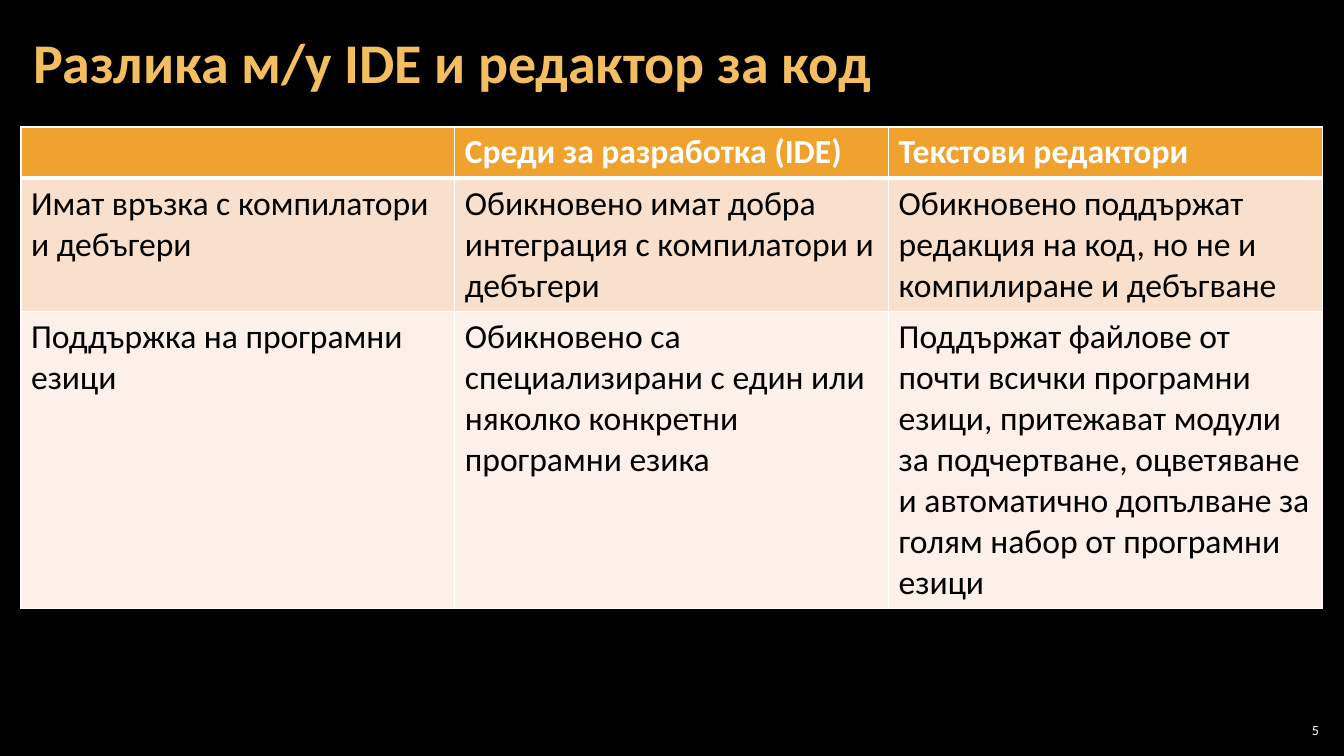
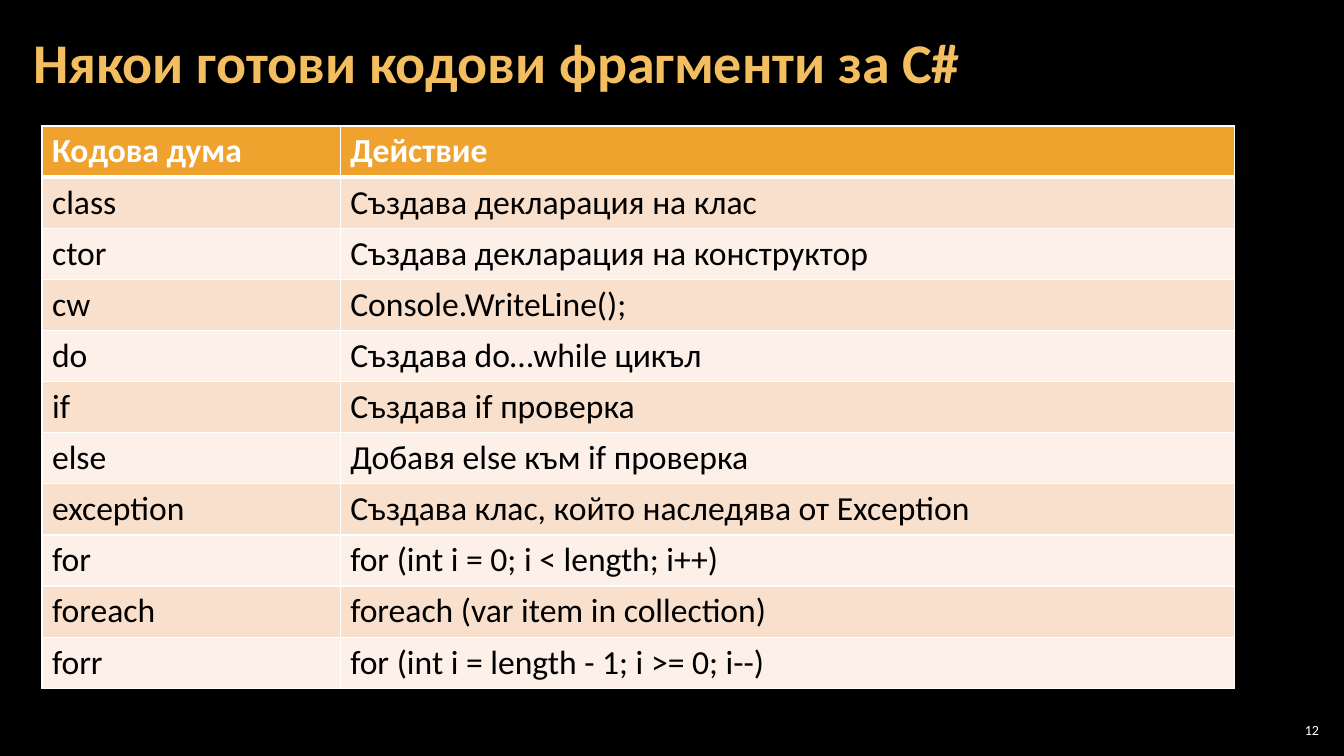
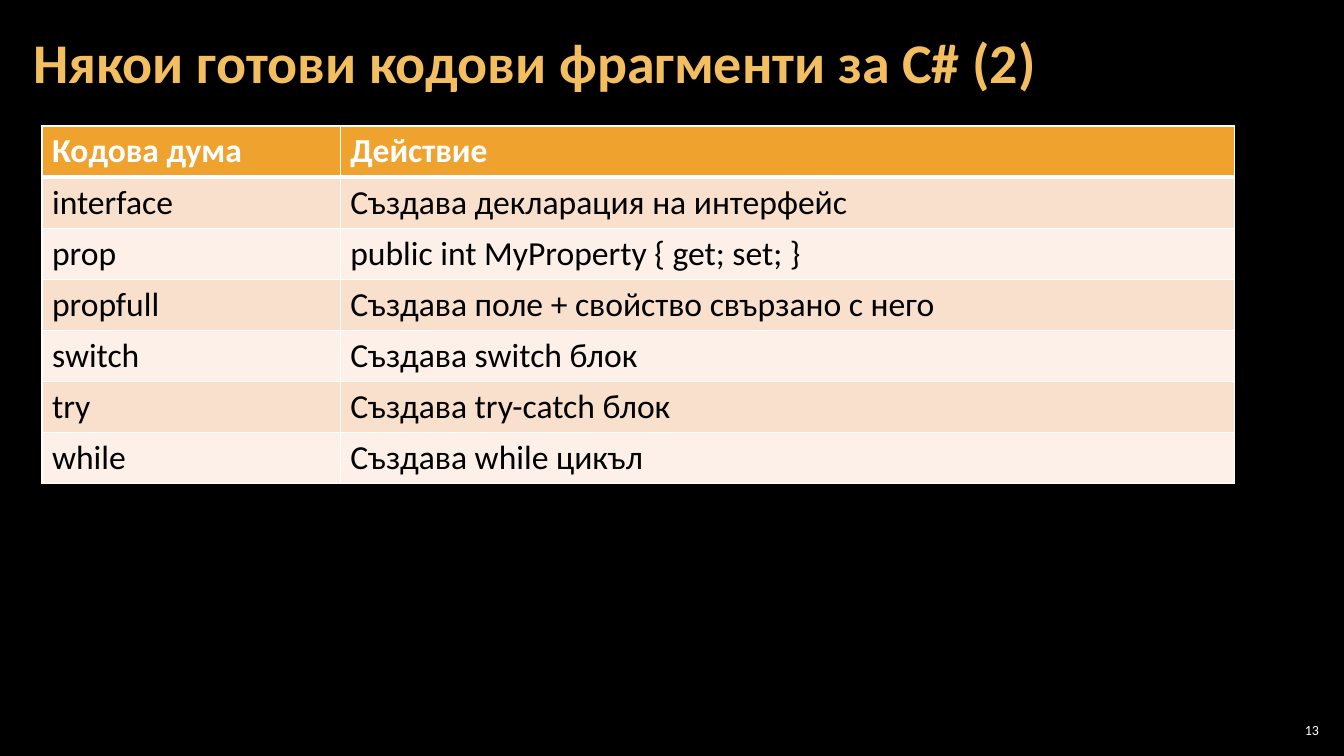
from pptx import Presentation, util as u
from pptx.dml.color import RGBColor
from pptx.enum import text
from pptx.oxml import parse_xml
from pptx.oxml.ns import nsdecls

BLACK = RGBColor(0x00, 0x00, 0x00)
WHITE = RGBColor(0xFF, 0xFF, 0xFF)
GOLD = RGBColor(0xF3, 0xBE, 0x60)
AMBER = RGBColor(0xF0, 0xA2, 0x2E)
PEACH = RGBColor(0xF9, 0xE0, 0xCD)
CREAM = RGBColor(0xFC, 0xF0, 0xE8)
FONT = "Calibri"
COLS, ROWS = 64, 36
HEAD = ("Кодова дума", "Действие")


class Deck:
    """Holds the shared style and the current slide."""

    def __init__(self):
        self.prs = Presentation()
        self.prs.slide_width = u.Emu(12192000)
        self.prs.slide_height = u.Emu(6858000)
        back = self.prs.slide_master.background.fill
        back.solid()
        back.fore_color.rgb = BLACK

    def box(self, col, row, wide, high):
        x, y = self.prs.slide_width / COLS, self.prs.slide_height / ROWS
        return [u.Emu(round(n)) for n in (col * x, row * y, wide * x, high * y)]

    def label(self, frame, words, size, color, bold=False):
        par = frame.paragraphs[0]
        run = par.add_run()
        run.text = words
        run.font.name = FONT
        run.font.size = u.Pt(size)
        run.font.bold = bold
        run.font.color.rgb = color
        return par

    def frame(self, shape, side):
        frame = shape.text_frame
        frame.word_wrap = True
        frame.auto_size = text.MSO_AUTO_SIZE.NONE
        frame.vertical_anchor = text.MSO_ANCHOR.MIDDLE
        frame.margin_left = frame.margin_right = u.Inches(side)
        frame.margin_top = frame.margin_bottom = u.Inches(0.04)
        return frame

    def page(self, title, num):
        self.slide = self.prs.slides.add_slide(self.prs.slide_layouts[5])
        self.title(title)
        self.number(num)

    def title(self, words):
        shape = self.slide.shapes.title
        shape.left, shape.top, shape.width, shape.height = self.box(1, 0.2, 50.25, 5.8)
        par = self.label(self.frame(shape, 0.12), words, 40, GOLD, True)
        par.alignment = text.PP_ALIGN.LEFT
        par.line_spacing = 0.9

    def number(self, num):
        shape = self.slide.shapes.add_textbox(*self.box(60.75, 34.25, 2.25, 1))
        par = self.label(self.frame(shape, 0.04), str(num), 10, WHITE)
        par.alignment = text.PP_ALIGN.RIGHT

    def edge(self, cell, side, width):
        cell._tc.get_or_add_tcPr().append(parse_xml(
            f'<a:ln{side} {nsdecls("a")} w="{u.Pt(width)}"><a:solidFill>'
            f'<a:srgbClr val="{WHITE}"/></a:solidFill></a:ln{side}>'))

    def cell(self, cell, words, row):
        top, low = (3 if row == 1 else 1), (3 if row == 0 else 1)
        for side, width in (("L", 1), ("R", 1), ("T", top), ("B", low)):
            self.edge(cell, side, width)
        cell.fill.solid()
        cell.fill.fore_color.rgb = AMBER if row == 0 else (CREAM, PEACH)[row % 2]
        if words:
            self.label(cell.text_frame, words, 24, BLACK if row else WHITE, row == 0)

    def table(self, col, top, widths, rows):
        area = self.box(col, top, sum(widths), 2.4 * len(rows))
        grid = self.slide.shapes.add_table(len(rows), len(widths), *area).table
        grid.horz_banding = False
        for line, wide in zip(grid.columns, widths):
            line.width = self.box(0, 0, wide, 0)[2]
        for r, row in enumerate(rows):
            for c, words in enumerate(row):
                self.cell(grid.cell(r, c), words, r)

    def codes(self, title, num, rows):
        self.page(title, num)
        self.table(2, 6, (14.2, 42.6), (HEAD, *rows))


def main():
    deck = Deck()
    deck.page("Разлика м/у IDE и редактор за код", 5)
    deck.table(1, 6.05, (20.66,) * 3, (
        ("", "Среди за разработка (IDE)", "Текстови редактори"),
        ("Имат връзка с компилатори и дебъгери",
         "Обикновено имат добра интеграция с компилатори и дебъгери",
         "Обикновено поддържат редакция на код, но не и компилиране и дебъгване"),
        ("Поддържка на програмни езици",
         "Обикновено са специализирани с един или няколко конкретни програмни езика",
         "Поддържат файлове от почти всички програмни езици, притежават модули "
         "за подчертване, оцветяване и автоматично допълване за голям набор "
         "от програмни езици"),
    ))
    deck.codes("Някои готови кодови фрагменти за C#", 12, (
        ("class", "Създава декларация на клас"),
        ("ctor", "Създава декларация на конструктор"),
        ("cw", "Console.WriteLine();"),
        ("do", "Създава do…while цикъл"),
        ("if", "Създава if проверка"),
        ("else", "Добавя else към if проверка"),
        ("exception", "Създава клас, който наследява от Exception"),
        ("for", "for (int i = 0; i < length; i++)"),
        ("foreach", "foreach (var item in collection)"),
        ("forr", "for (int i = length - 1; i >= 0; i--)"),
    ))
    deck.codes("Някои готови кодови фрагменти за C# (2)", 13, (
        ("interface", "Създава декларация на интерфейс"),
        ("prop", "public int MyProperty { get; set; }"),
        ("propfull", "Създава поле + свойство свързано с него"),
        ("switch", "Създава switch блок"),
        ("try", "Създава try-catch блок"),
        ("while", "Създава while цикъл"),
    ))
    deck.prs.save("out.pptx")


if __name__ == "__main__":
    main()
